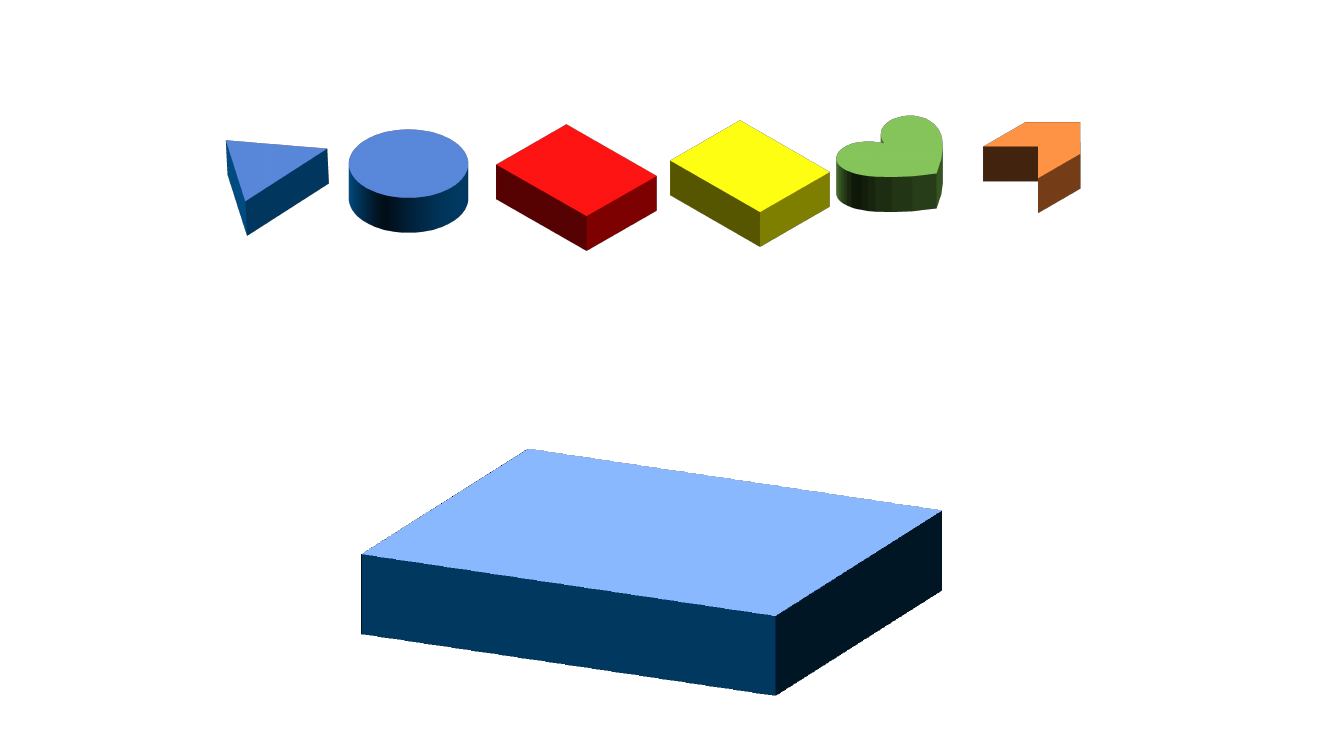
from pptx import Presentation
from pptx import oxml
from pptx import util as u
from pptx.dml.color import RGBColor
from pptx.enum import shapes
from pptx.oxml import ns

KIND = shapes.MSO_SHAPE
SMALL_BLOCKS = [
    (KIND.OVAL, (2.25, 0.01, 1.18, 1.18),
     {"fill": "4472C4", "line": "1E3256", "side": "0070C0"}),
    (KIND.ISOSCELES_TRIANGLE, (0.72, 0.12, 1.18, 0.87),
     {"fill": "4472C4", "line": "806000", "side": "0070C0",
      "rotation": 357.1, "adjustment": 0.545}),
    (KIND.RECTANGLE, (5.74, 0, 0.98, 1.26),
     {"fill": "FFFF00", "line": "BF9000", "side": "FFFF00"}),
    (KIND.RECTANGLE, (4.02, 0.04, 0.98, 1.26),
     {"fill": "FF0000", "line": "1E3256", "side": "FF0000"}),
    (KIND.HEART, (7.14, 0.01, 1.18, 0.98),
     {"fill": "70AD47", "line": "385723", "side": "70AD47"}),
    (KIND.CHEVRON, (8.67, 0.01, 0.98, 0.77),
     {"fill": "ED7D31", "line": "843C0B", "side": "ED7D31"}),
]


def color(value):
    """Return the colour for a hex string."""
    return RGBColor.from_string(value)


def extrude(shape, camera, depth, side):
    """Turn a flat shape into a block seen through a preset camera."""
    namespace = ns.nsdecls("a")
    properties = shape.element.spPr
    properties.append(oxml.parse_xml(
        f'<a:scene3d {namespace}><a:camera prst="{camera}"/>'
        '<a:lightRig rig="threePt" dir="t"/></a:scene3d>'))
    properties.append(oxml.parse_xml(
        f'<a:sp3d {namespace} extrusionH="{u.Inches(depth)}">'
        f'<a:extrusionClr><a:srgbClr val="{side}"/></a:extrusionClr></a:sp3d>'))


def add_block(slide, kind, box, style, camera, depth):
    """Add one coloured block to the slide."""
    shape = slide.shapes.add_shape(kind, *map(u.Inches, box))
    shape.rotation = style.get("rotation", 0)
    if "adjustment" in style:
        shape.adjustments[0] = style["adjustment"]
    shape.fill.solid()
    for target, part in ((shape.fill.fore_color, "fill"),
                         (shape.line.color, "line")):
        target.rgb = color(style[part])
    shape.line.width = u.Pt(1)
    shape.shadow.inherit = False
    extrude(shape, camera, depth, style["side"])


def add_base(slide, box):
    """Place the large blue slab in its box."""
    style = {"fill": "4472C4", "line": "000000", "side": "0070C0"}
    add_block(slide, KIND.RECTANGLE, box, style, "isometricOffAxis2Top", 0.83)


def add_small_blocks(slide, box):
    """Place the row of small blocks relative to the box corner."""
    left, top = box[:2]
    for kind, (x, y, width, height), style in SMALL_BLOCKS:
        add_block(slide, kind, (left + x, top + y, width, height), style,
                  "isometricTopUp", 0.42)


def main():
    """Build and save the slide."""
    presentation = Presentation()
    presentation.slide_width = u.Inches(13.33)
    presentation.slide_height = u.Inches(7.5)
    slide = presentation.slides.add_slide(presentation.slide_layouts[6])
    add_base(slide, (4.18, 3.4, 4.56, 3.76))
    add_small_blocks(slide, (1.21, 1.02, 9.65, 1.3))
    presentation.save("out.pptx")


if __name__ == "__main__":
    main()
